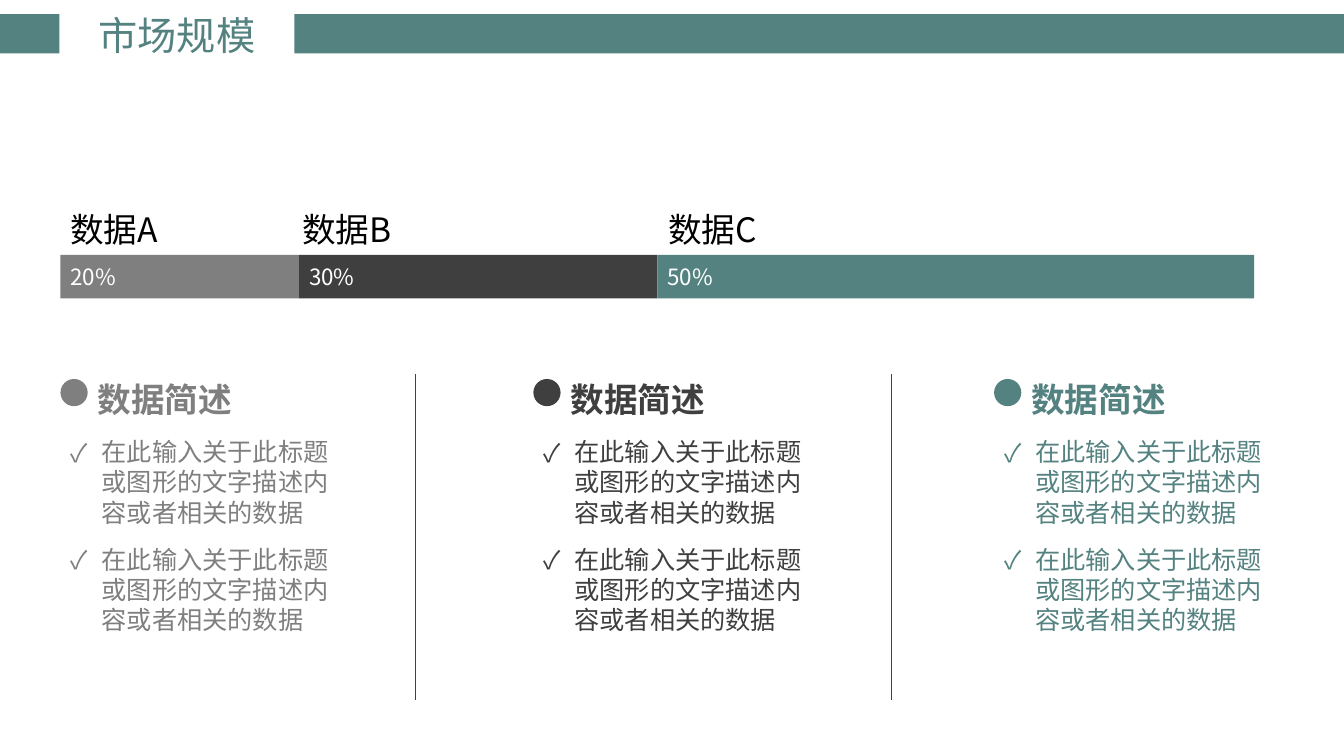
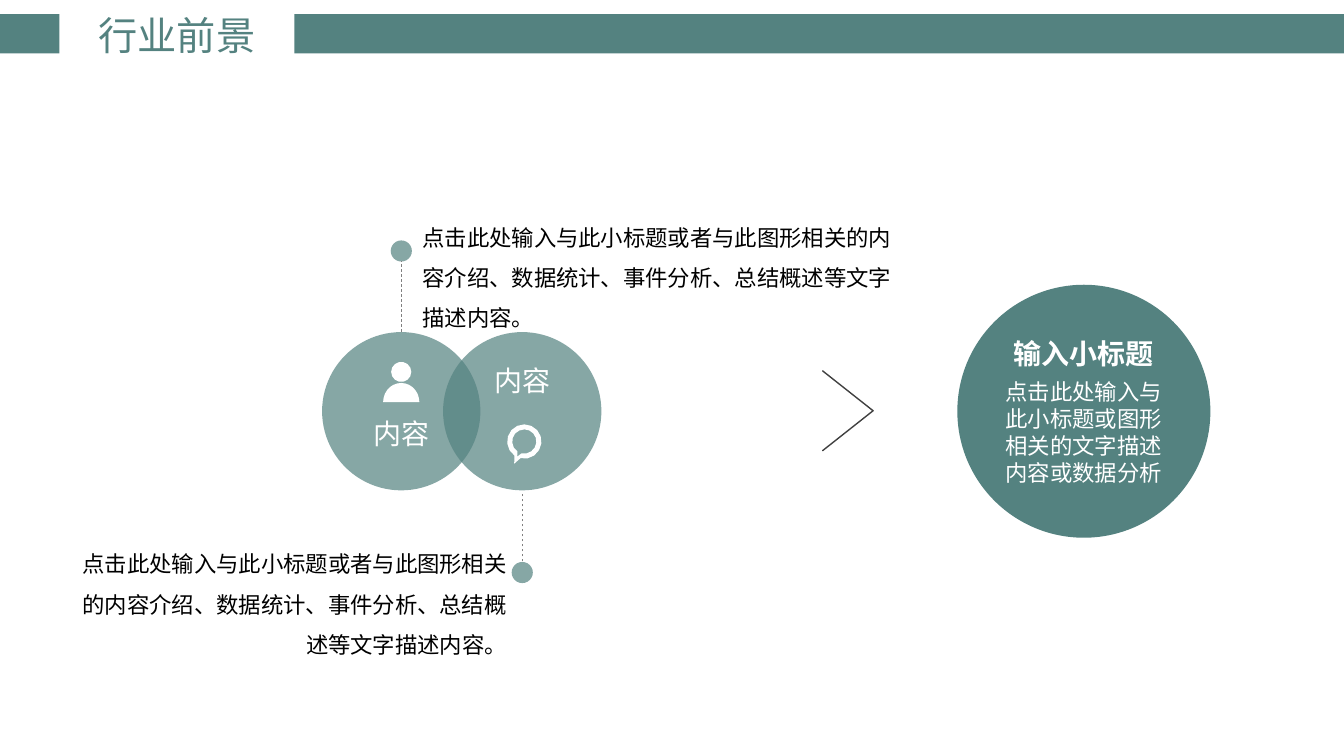
from math import cos, radians, sin

from lxml.etree import SubElement
from pptx import Presentation
from pptx.dml.color import RGBColor
from pptx.enum.dml import MSO_LINE
from pptx.enum.shapes import MSO_CONNECTOR, MSO_SHAPE as SHAPE
from pptx.enum.text import MSO_ANCHOR as ANCHOR, MSO_AUTO_SIZE as AUTO, PP_ALIGN as ALIGN
from pptx.oxml.ns import qn
from pptx.util import Inches, Pt

TEAL = RGBColor(0x54, 0x82, 0x80)
GREY = RGBColor(0x7F, 0x7F, 0x7F)
DARK = RGBColor(0x3F, 0x3F, 0x3F)
RULE = RGBColor(0x40, 0x40, 0x40)
DASH = RGBColor(0x80, 0x80, 0x80)
BLACK = RGBColor(0, 0, 0)
WHITE = RGBColor(0xFF, 0xFF, 0xFF)
FONT = "Noto Sans CJK SC"
UNITS = 1000  # outline units per inch


def arc(cx, cy, rx, ry, start, end, steps=14):
    """Points on an ellipse, angles in degrees clockwise from the right."""
    angles = [radians(start + (end - start) * i / steps) for i in range(steps + 1)]
    return [(cx + rx * cos(a), cy + ry * sin(a)) for a in angles]


class Deck:
    def __init__(self):
        self.prs = Presentation()
        self.prs.slide_width, self.prs.slide_height = Inches(13.33), Inches(7.5)
        self.shapes = None

    def new_slide(self, title):
        self.shapes = self.prs.slides.add_slide(self.prs.slide_layouts[6]).shapes
        for left, width in ((0, 0.59), (2.92, 10.42)):
            self.shape(SHAPE.RECTANGLE, left, 0.14, width, 0.39, TEAL)
        frame = self.text(0.87, 0.06, 1.77, 0.57, title, 28, TEAL, align=ALIGN.CENTER)
        frame.word_wrap = False
        frame.vertical_anchor = ANCHOR.MIDDLE

    def shape(self, kind, left, top, width, height, fill=None, opacity=None):
        shape = self.shapes.add_shape(kind, *map(Inches, (left, top, width, height)))
        return self.paint(shape, fill, opacity)

    def paint(self, shape, fill, opacity=None):
        shape.shadow.inherit = False
        shape.line.fill.background()
        if fill is None:
            shape.fill.background()
        else:
            shape.fill.solid()
            shape.fill.fore_color.rgb = fill
        if opacity is not None:
            color = shape._element.spPr.find(qn("a:solidFill"))[0]
            SubElement(color, qn("a:alpha")).set("val", str(opacity * 1000))
        return shape

    def circle(self, cx, cy, diameter, fill, opacity=None):
        return self.shape(SHAPE.OVAL, cx - diameter / 2, cy - diameter / 2,
                          diameter, diameter, fill, opacity)

    def icon(self, *contours):
        first, *others = [[(round(x * UNITS), round(y * UNITS)) for x, y in contour]
                          for contour in contours]
        builder = self.shapes.build_freeform(*first[0], scale=Inches(1) / UNITS)
        builder.add_line_segments(first[1:], close=True)
        for contour in others:
            builder.move_to(*contour[0])
            builder.add_line_segments(contour[1:], close=True)
        self.paint(builder.convert_to_shape(), WHITE)

    def line(self, x, top, bottom, color, dash=None):
        line = self.shapes.add_connector(
            MSO_CONNECTOR.STRAIGHT, *map(Inches, (x, top, x, bottom)))
        line.line.color.rgb = color
        line.line.width = Pt(0.5)
        line.line.dash_style = dash
        SubElement(line._element.spPr, qn("a:effectLst"))

    def text(self, left, top, width, height, words, size, color, bold=False, align=ALIGN.LEFT):
        frame = self.shapes.add_textbox(*map(Inches, (left, top, width, height))).text_frame
        frame.word_wrap = True
        frame.auto_size = AUTO.SHAPE_TO_FIT_TEXT
        frame.text = words
        for paragraph in frame.paragraphs:
            self.style(paragraph, size, color, bold, align)
        return frame

    def style(self, paragraph, size, color, bold=False, align=ALIGN.LEFT):
        paragraph.alignment = align
        font = paragraph.font
        font.size, font.bold, font.name = Pt(size), bold, FONT
        font.color.rgb = color
        defaults = paragraph._p.pPr.find(qn("a:defRPr"))
        SubElement(defaults, qn("a:ea")).set("typeface", FONT)

    def checklist(self, left, top, width, height, items, size, color):
        frame = self.text(left, top, width, height, "\n".join(items), size, color)
        for paragraph in frame.paragraphs:
            paragraph.space_before = Pt(12)
            properties = paragraph._p.pPr
            properties.set("marL", str(Inches(0.31)))
            properties.set("indent", str(-Inches(0.31)))
            defaults = properties.find(qn("a:defRPr"))
            for tag, key, value in (("a:buFont", "typeface", FONT), ("a:buChar", "char", "✓")):
                bullet = SubElement(properties, qn(tag))
                bullet.set(key, value)
                defaults.addprevious(bullet)

    def note(self, left, top, width, words, align):
        frame = self.text(left, top, width, 1.31, words, 16, BLACK, align=align)
        frame.margin_left = frame.margin_right = 0
        frame.paragraphs[0].line_spacing = 1.5


def market_size(deck):
    deck.new_slide("市场规模")
    bar_left, bar_width = 0.6, 11.84
    shares = (("数据A", 20, GREY, 0.6), ("数据B", 30, DARK, 2.9), ("数据C", 50, TEAL, 6.53))
    for label, percent, color, label_left in shares:
        width = bar_width * percent / 100
        segment = deck.shape(SHAPE.RECTANGLE, bar_left, 2.53, width, 0.43, color)
        frame = segment.text_frame
        frame.text = f"{percent}%"
        frame.vertical_anchor = ANCHOR.MIDDLE
        deck.style(frame.paragraphs[0], 16, WHITE)
        deck.text(label_left, 2.02, 2.76, 0.5, label, 24, BLACK)
        bar_left += width

    items = ["在此输入关于此标题或图形的文字描述内容或者相关的数据"] * 2
    for left, color in ((0.6, GREY), (5.29, DARK), (9.86, TEAL)):
        deck.shape(SHAPE.OVAL, left, 3.76, 0.27, 0.27, color)
        deck.text(left + 0.27, 3.71, 2.25, 0.5, "数据简述", 24, color, bold=True)
        deck.checklist(left, 4.28, 2.9, 2.09, items, 18, color)
    for divider_x in (4.12, 8.84):
        deck.line(divider_x, 3.71, 6.94, RULE)


def industry_outlook(deck):
    deck.new_slide("行业前景")
    person = (arc(3.98, 3.99, 0.18, 0.19, 180, 360), arc(3.98, 3.69, 0.1, 0.1, 0, 360))
    bubble = (arc(5.2, 4.38, 0.17, 0.17, 125, 463) + [(5.1, 4.6)],
              arc(5.2, 4.38, 0.12, 0.12, 125, 463) + [(5.13, 4.53)])
    for center_x, icon, label_top in ((3.98, person, 4.08), (5.18, bubble, 3.56)):
        deck.circle(center_x, 4.08, 1.57, TEAL, opacity=70)
        deck.icon(*icon)
        deck.text(center_x - 1.25 / 2, label_top, 1.25, 0.44, "内容", 20, WHITE,
                  align=ALIGN.CENTER)

    for x, dot_y, top, bottom in ((3.98, 2.49, 2.59, 3.29), (5.18, 5.68, 4.88, 5.57)):
        deck.circle(x, dot_y, 0.21, TEAL, opacity=70)
        deck.line(x, bottom, top, DASH, MSO_LINE.DASH)
    words = "点击此处输入与此小标题或者与此图形相关的内容介绍、数据统计、事件分析、总结概述等文字描述内容。"
    deck.note(4.19, 2.04, 4.77, words, ALIGN.LEFT)
    deck.note(0.77, 5.28, 4.26, words, ALIGN.RIGHT)

    chevron = deck.shape(SHAPE.CHEVRON, 8.16, 3.68, 0.5, 0.79)
    chevron.adjustments[0] = 1
    chevron.line.color.rgb = RULE
    chevron.line.width = Pt(1)

    frame = deck.circle(10.75, 4.08, 2.51, TEAL).text_frame
    frame.word_wrap = True
    frame.vertical_anchor = ANCHOR.MIDDLE
    frame.text = "输入小标题\n点击此处输入与此小标题或图形相关的文字描述内容或数据分析"
    for paragraph, size, bold in zip(frame.paragraphs, (20, 16), (True, False)):
        deck.style(paragraph, size, WHITE, bold, ALIGN.CENTER)
        paragraph.space_before = Pt(6)


def main():
    deck = Deck()
    market_size(deck)
    industry_outlook(deck)
    deck.prs.save("out.pptx")


if __name__ == "__main__":
    main()
